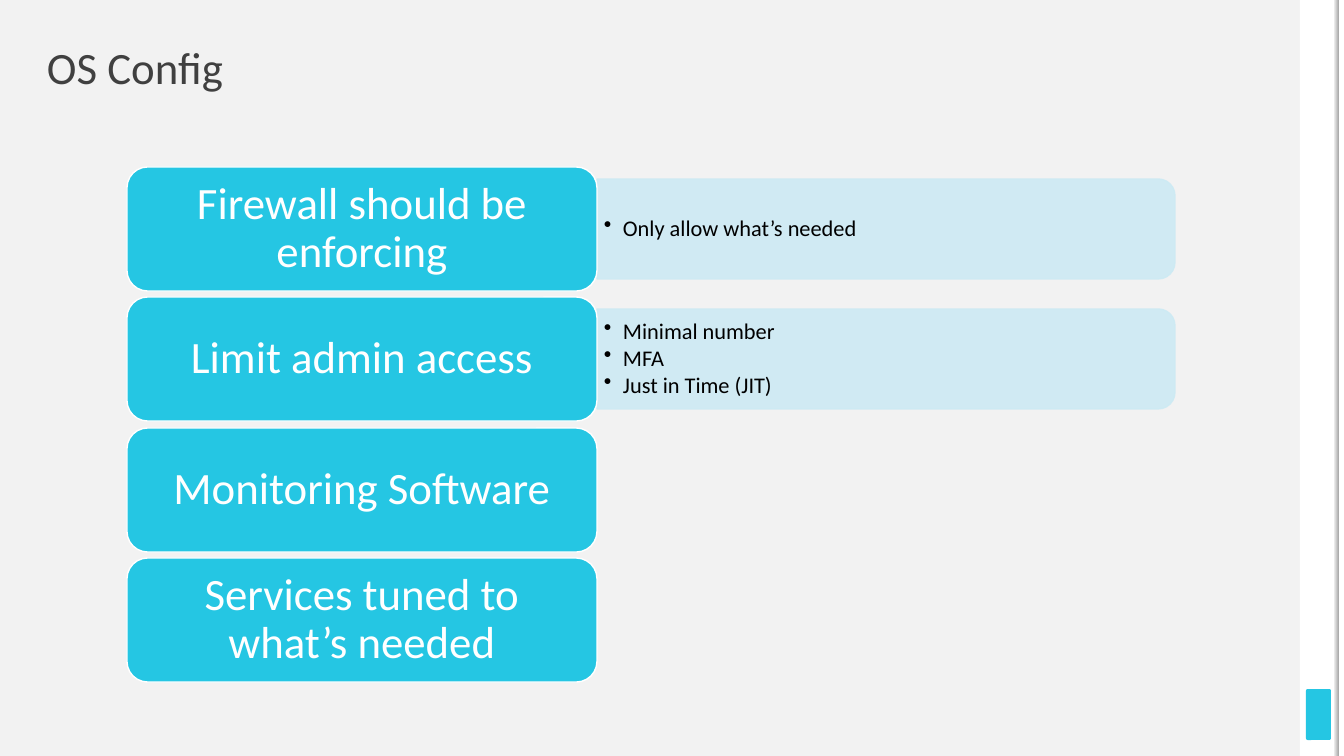
from dataclasses import dataclass

from lxml import etree
from pptx import Presentation
from pptx import util as u
from pptx.dml.color import RGBColor
from pptx.enum import shapes, text
from pptx.oxml import ns

EMU_PER_PIXEL = 914400 / 100.8


@dataclass(frozen=True)
class Theme:
    font: str = "Calibri"
    background: str = "F2F2F2"
    accent: str = "25C6E3"
    panel: str = "CDEAF4"
    white: str = "FFFFFF"
    edge: str = "A6A6A6"
    title: str = "404040"
    body: str = "000000"
    large: int = 32
    small: int = 16


@dataclass(frozen=True)
class Box:
    left: int
    top: int
    width: int
    height: int


@dataclass(frozen=True)
class Topic:
    heading: str
    details: tuple[str, ...] = ()


THEME = Theme()
TOPICS = (
    Topic("Firewall should be enforcing", ("Only allow what’s needed",)),
    Topic("Limit admin access", ("Minimal number", "MFA", "Just in Time (JIT)")),
    Topic("Monitoring Software"),
    Topic("Services tuned to what’s needed"),
)
FIRST_TOP = 167
ROW_PITCH = 130.4


def px(pixels: float) -> u.Emu:
    return u.Emu(round(pixels * EMU_PER_PIXEL))


def color(value: str) -> RGBColor:
    return RGBColor.from_string(value)


def place(box: Box) -> tuple[u.Emu, ...]:
    return px(box.left), px(box.top), px(box.width), px(box.height)


def add_block(slide, kind, box: Box, fill: str, line: str | None = None):
    shape = slide.shapes.add_shape(kind, *place(box))
    shape.shadow.inherit = False
    shape.fill.solid()
    shape.fill.fore_color.rgb = color(fill)
    if line:
        shape.line.color.rgb = color(line)
        shape.line.width = u.Pt(1)
    else:
        shape.line.fill.background()
    return shape


def set_frame(frame, horizontal: int, vertical: int) -> None:
    frame.word_wrap = True
    frame.vertical_anchor = text.MSO_ANCHOR.MIDDLE
    frame.margin_left = frame.margin_right = px(horizontal)
    frame.margin_top = frame.margin_bottom = px(vertical)


def add_words(paragraph, words: str, size: int, ink: str) -> None:
    paragraph.line_spacing = 0.9
    run = paragraph.add_run()
    run.text = words
    run.font.name = THEME.font
    run.font.size = u.Pt(size)
    run.font.color.rgb = color(ink)


def add_bullet(paragraph) -> None:
    properties = paragraph._p.get_or_add_pPr()
    properties.set("marL", str(px(19)))
    properties.set("indent", str(px(-19)))
    etree.SubElement(properties, ns.qn("a:buChar")).set("char", "•")


def set_opacity(shape, percent: int) -> None:
    for value in shape._element.spPr.iter(ns.qn("a:srgbClr")):
        etree.SubElement(value, ns.qn("a:alpha")).set("val", str(percent * 1000))


def add_title(slide, words: str) -> None:
    frame = slide.shapes.add_textbox(*place(Box(47, 47, 603, 47))).text_frame
    set_frame(frame, 0, 0)
    add_words(frame.paragraphs[0], words, THEME.large, THEME.title)


def add_details(slide, top: int, details: tuple[str, ...]) -> None:
    box = Box(597, top, 578, 100)
    shift = (box.width - box.height) // 2
    upright = Box(box.left + shift, box.top - shift, box.height, box.width)
    panel = add_block(slide, shapes.MSO_SHAPE.ROUND_2_SAME_RECTANGLE, upright, THEME.panel, THEME.panel)
    panel.rotation = 90
    set_opacity(panel, 90)
    frame = slide.shapes.add_textbox(*place(Box(box.left, top + 5, 573, 90))).text_frame
    set_frame(frame, 7, 3)
    for index, detail in enumerate(details):
        paragraph = frame.add_paragraph() if index else frame.paragraphs[0]
        paragraph.space_after = u.Pt(2)
        add_words(paragraph, detail, THEME.small, THEME.body)
        add_bullet(paragraph)


def add_topic(slide, top: int, topic: Topic) -> None:
    if topic.details:
        add_details(slide, top + 12, topic.details)
    card = add_block(slide, shapes.MSO_SHAPE.ROUNDED_RECTANGLE, Box(127, top, 470, 124), THEME.accent, THEME.white)
    set_frame(card.text_frame, 13, 7)
    paragraph = card.text_frame.paragraphs[0]
    paragraph.alignment = text.PP_ALIGN.CENTER
    add_words(paragraph, topic.heading, THEME.large, THEME.white)


def add_rail(slide) -> None:
    rectangle = shapes.MSO_SHAPE.RECTANGLE
    add_block(slide, rectangle, Box(1300, 0, 39, 756), THEME.white)
    marker = add_block(slide, shapes.MSO_SHAPE.ROUNDED_RECTANGLE, Box(1306, 689, 25, 51), THEME.accent)
    marker.adjustments[0] = 0.07
    add_block(slide, rectangle, Box(1339, 0, 5, 756), THEME.white)
    edge = add_block(slide, rectangle, Box(1334, 0, 5, 756), THEME.edge)
    edge.fill.gradient()
    edge.fill.gradient_angle = 0
    for stop, value in zip(edge.fill.gradient_stops, (THEME.background, THEME.edge)):
        stop.color.rgb = color(value)


def main() -> None:
    presentation = Presentation()
    presentation.slide_width, presentation.slide_height = px(1344), px(756)
    slide = presentation.slides.add_slide(presentation.slide_layouts[6])
    slide.background.fill.solid()
    slide.background.fill.fore_color.rgb = color(THEME.background)
    add_rail(slide)
    add_title(slide, "OS Config")
    for row, topic in enumerate(TOPICS):
        add_topic(slide, round(FIRST_TOP + row * ROW_PITCH), topic)
    presentation.save("out.pptx")


main()
